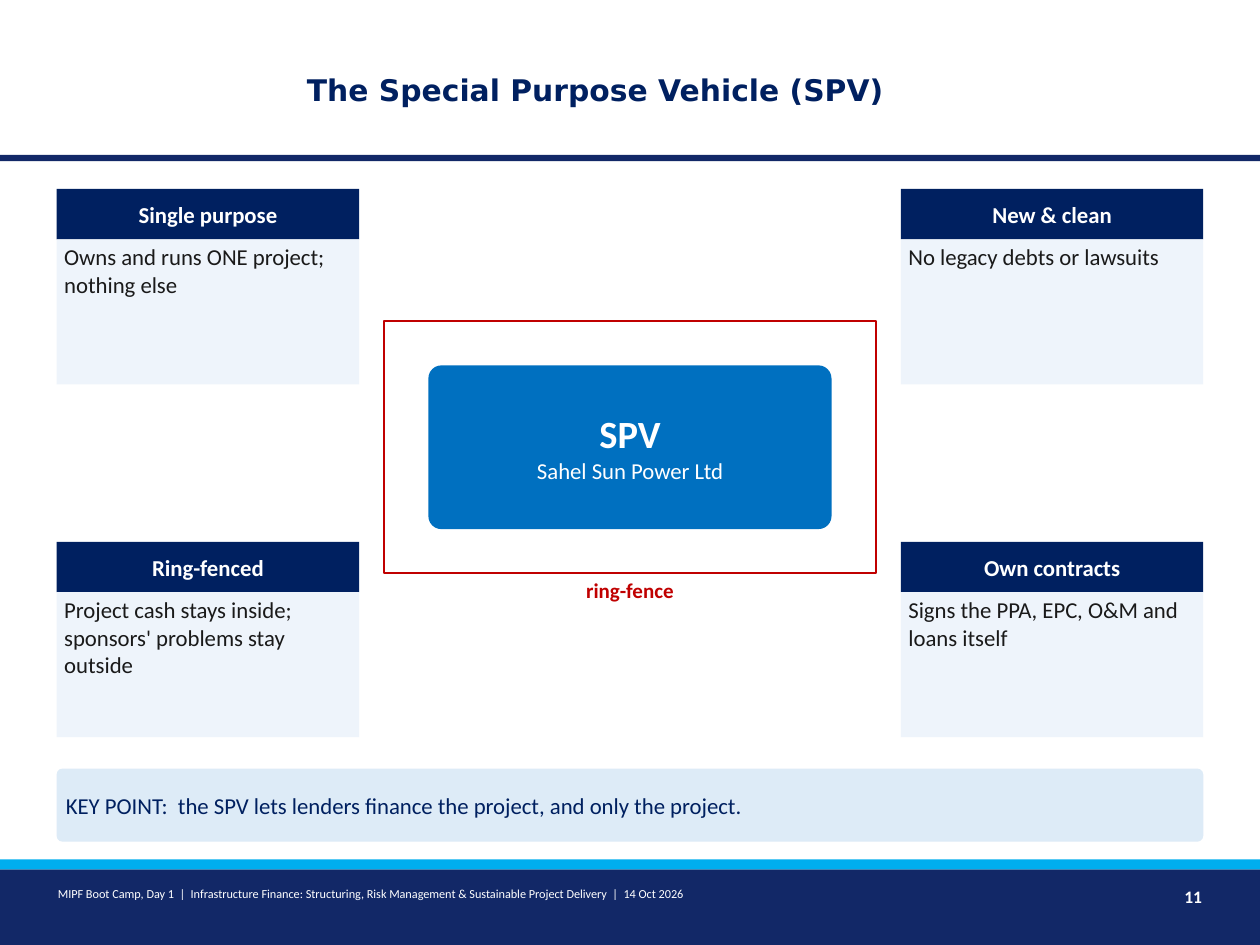
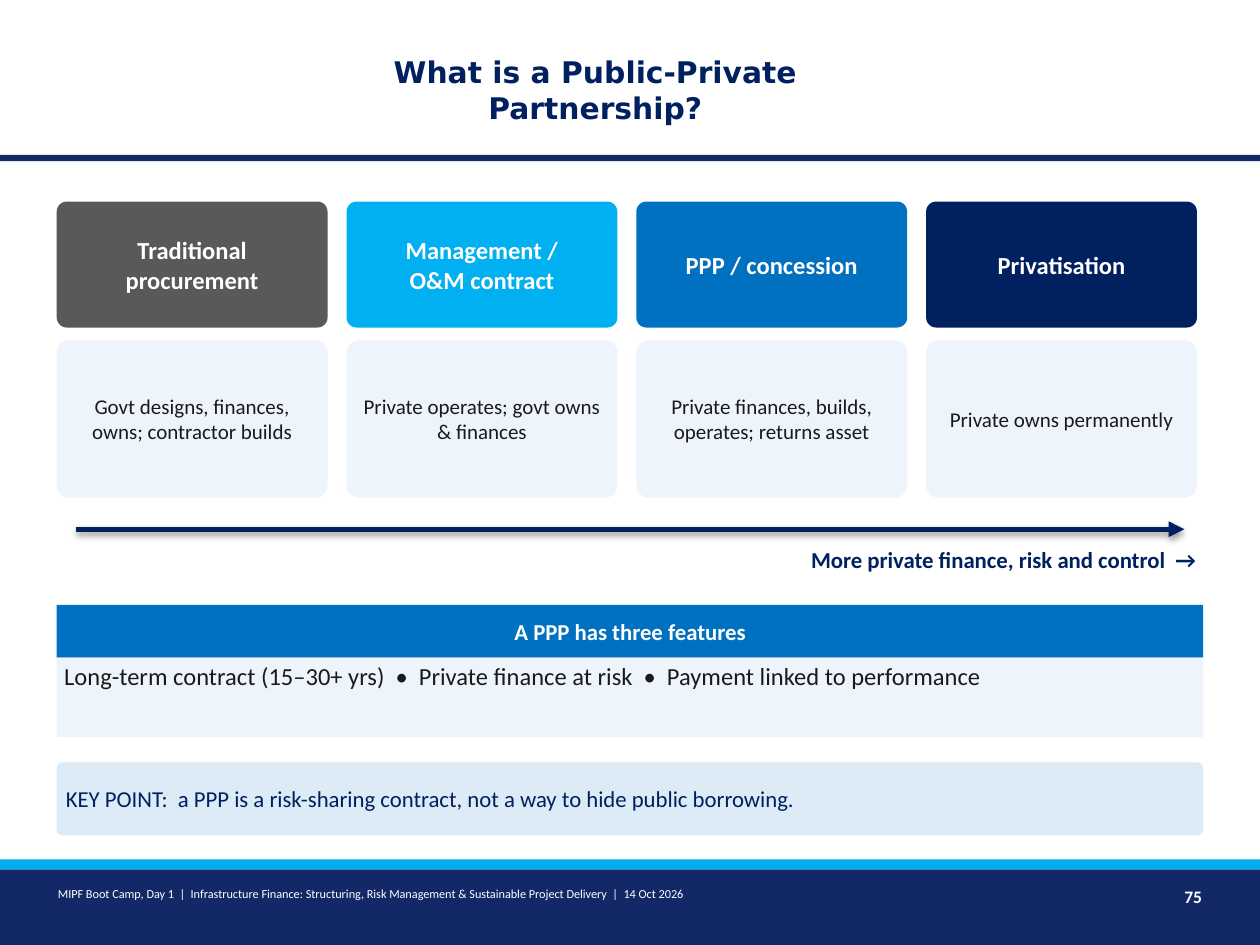
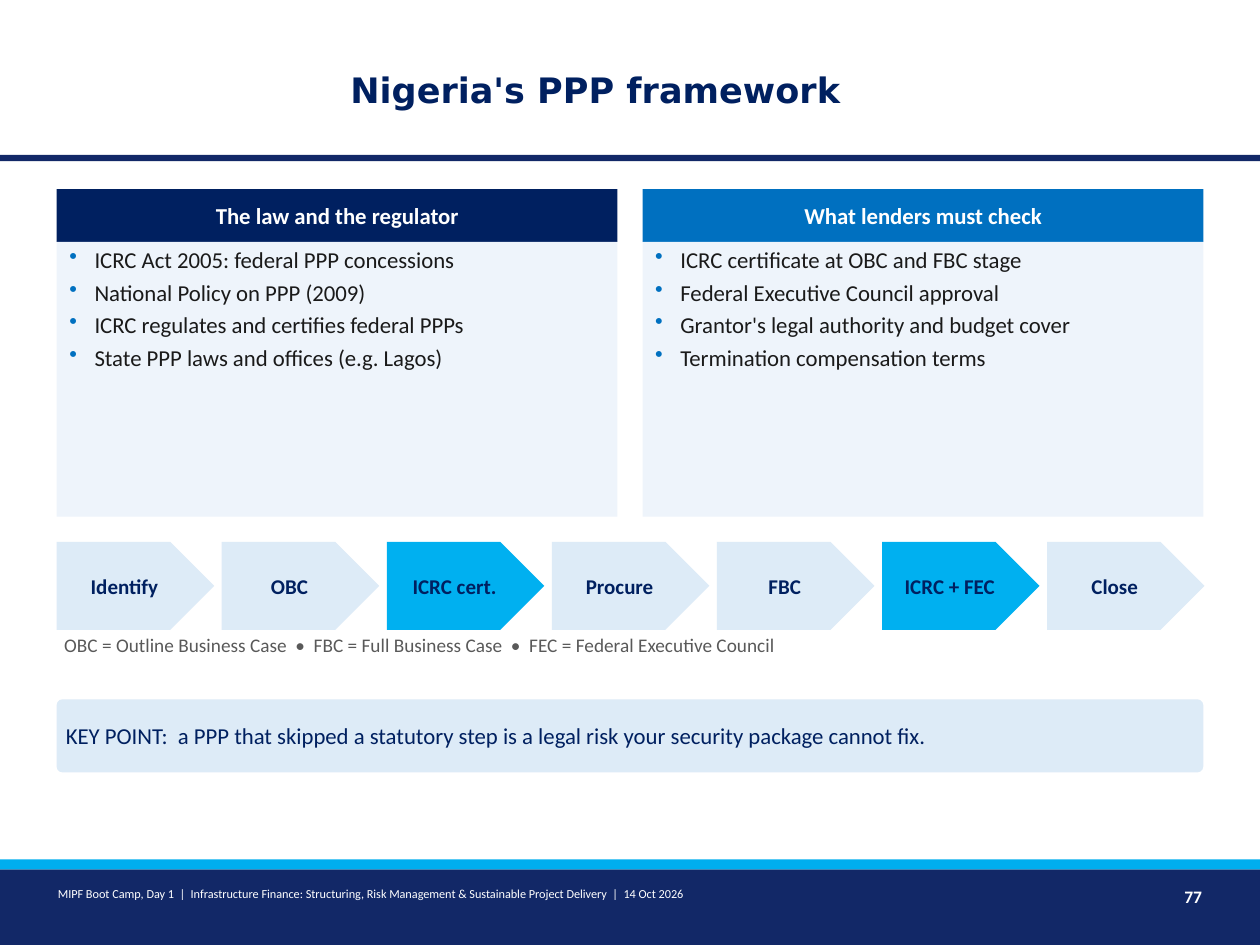
from lxml import etree
from pptx import Presentation
from pptx import util as u
from pptx.dml.color import RGBColor
from pptx.enum import shapes, text
from pptx.oxml.ns import qn

NAVY = RGBColor(0x00, 0x20, 0x60)
BAND = RGBColor(0x12, 0x28, 0x67)
CYAN = RGBColor(0x00, 0xAE, 0xEF)
SKY = RGBColor(0x00, 0xB0, 0xF0)
BLUE = RGBColor(0x00, 0x70, 0xC0)
PALE = RGBColor(0xEE, 0xF4, 0xFB)
ICE = RGBColor(0xDD, 0xEB, 0xF7)
GREY = RGBColor(0x59, 0x59, 0x59)
INK = RGBColor(0x1A, 0x1A, 0x1A)
RED = RGBColor(0xC0, 0x00, 0x00)
WHITE = RGBColor(0xFF, 0xFF, 0xFF)

FONT = "Calibri"
TITLE_FONT = "DejaVu Sans"
CELL = u.Inches(0.1)
COLS, ROWS = 100, 75
LEFT, WIDTH = 4.5, 91
FOOTER = ("MIPF Boot Camp, Day 1  |  Infrastructure Finance: Structuring, Risk Management"
          " & Sustainable Project Delivery  |  14 Oct 2026")

RECT = shapes.MSO_SHAPE.RECTANGLE
ROUND = shapes.MSO_SHAPE.ROUNDED_RECTANGLE
PENTAGON = shapes.MSO_SHAPE.PENTAGON
TOP, MIDDLE = text.MSO_ANCHOR.TOP, text.MSO_ANCHOR.MIDDLE
ALIGN = {"l": text.PP_ALIGN.LEFT, "c": text.PP_ALIGN.CENTER, "r": text.PP_ALIGN.RIGHT}


def grid(*cells):
    return [round(c * CELL) for c in cells]


def add_bullet(p, color):
    pPr = p._p.get_or_add_pPr()
    pPr.set("marL", str(u.Inches(0.24)))
    pPr.set("indent", str(u.Inches(-0.2)))
    clr = etree.SubElement(pPr, qn("a:buClr"))
    etree.SubElement(clr, qn("a:srgbClr")).set("val", str(color))
    etree.SubElement(pPr, qn("a:buChar")).set("char", "•")


def write(tf, lines, size=13, color=INK, bold=False, align="l", anchor=TOP,
          after=None, bullet=None, font=FONT, inset=True):
    tf.word_wrap = True
    tf.vertical_anchor = anchor
    if inset:
        tf.margin_left = tf.margin_right = u.Inches(0.06)
        tf.margin_top = tf.margin_bottom = u.Inches(0.03)
    for i, line in enumerate([lines] if isinstance(lines, str) else lines):
        p = tf.add_paragraph() if i else tf.paragraphs[0]
        if bullet is not None:
            add_bullet(p, bullet)
        p.alignment = ALIGN[align]
        if after is not None:
            p.space_after = u.Pt(after)
        r = p.add_run()
        r.text = line
        r.font.name, r.font.size, r.font.bold = font, u.Pt(size), bold
        r.font.color.rgb = color


class Deck:
    def __init__(self):
        self.prs = Presentation()
        self.prs.slide_width, self.prs.slide_height = grid(COLS, ROWS)
        self.layout = self.prs.slide_layouts.get_by_name("Title Only")
        for ph in list(self.layout.placeholders)[1:]:
            ph.element.getparent().remove(ph.element)
        self.s = None

    def add_bands(self):
        for y, h, color in ((12.3, 0.5, BAND), (69, 6, BAND), (68.2, 0.8, CYAN)):
            self.layout.shapes.element.append(self.box(0, y, COLS, h, color).element)

    def slide(self, title, number, size=17):
        first = self.s is None
        self.s = self.prs.slides.add_slide(self.layout)
        if first:
            self.add_bands()
        sp = self.s.shapes.title
        sp.left, sp.top, sp.width, sp.height = grid(23, 2.2, 48.5, 9.8)
        sp.text_frame.auto_size = text.MSO_AUTO_SIZE.NONE
        write(sp.text_frame, title, size=size, color=NAVY, bold=True, align="c",
              anchor=MIDDLE, font=TITLE_FONT, inset=False)
        self.label(FOOTER, 4, 70, 68, 3.5, size=7, color=WHITE)
        self.label(str(number), 90, 70, 6, 3.5, size=10, color=WHITE, bold=True, align="r")

    def box(self, x, y, w, h, fill=None, lines=None, kind=RECT, outline=None, **fmt):
        sp = self.s.shapes.add_shape(kind, *grid(x, y, w, h))
        sp.shadow.inherit = False
        if kind == ROUND:
            sp.adjustments[0] = 0.08
        if fill is None:
            sp.fill.background()
        else:
            sp.fill.solid()
            sp.fill.fore_color.rgb = fill
        if outline is None:
            sp.line.fill.background()
        else:
            sp.line.color.rgb = outline
            sp.line.width = u.Pt(1.25)
        if lines:
            write(sp.text_frame, lines, **{"anchor": MIDDLE, "align": "c", **fmt})
        return sp

    def label(self, lines, x, y, w, h, **fmt):
        tf = self.s.shapes.add_textbox(*grid(x, y, w, h)).text_frame
        write(tf, lines, **fmt)
        tf.auto_size = text.MSO_AUTO_SIZE.SHAPE_TO_FIT_TEXT

    def card(self, heading, body, x, y, w, h, head=4.2, color=NAVY, **fmt):
        self.box(x, y, w, head, color, heading, color=WHITE, bold=True)
        self.box(x, y + head, w, h - head, PALE, body,
                 anchor=TOP, align="l", after=3, **fmt)

    def arrow(self, x1, x2, y):
        c = self.s.shapes.add_connector(shapes.MSO_CONNECTOR.STRAIGHT, *grid(x1, y, x2, y))
        c.line.color.rgb = NAVY
        c.line.width = u.Pt(3)
        etree.SubElement(c.line._get_or_add_ln(), qn("a:tailEnd")).set("type", "triangle")

    def key_point(self, words, y):
        self.box(LEFT, y, WIDTH, 5.8, ICE, "KEY POINT:  " + words, ROUND,
                 color=NAVY, align="l")


def spv_slide(d):
    d.slide("The Special Purpose Vehicle (SPV)", 11)
    sp = d.box(34, 29, 32, 13, BLUE, ["SPV", "Sahel Sun Power Ltd"], ROUND, color=WHITE)
    name = sp.text_frame.paragraphs[0].runs[0].font
    name.size, name.bold = u.Pt(22), True
    d.box(30.5, 25.5, 39, 20, outline=RED)
    d.label("ring-fence", 30.5, 45.5, 39, 3.5, size=12, color=RED, bold=True,
            align="c", after=4)
    traits = (("Single purpose", "Owns and runs ONE project; nothing else"),
              ("New & clean", "No legacy debts or lawsuits"),
              ("Ring-fenced", "Project cash stays inside; sponsors' problems stay outside"),
              ("Own contracts", "Signs the PPA, EPC, O&M and loans itself"))
    for i, (heading, body) in enumerate(traits):
        row, col = divmod(i, 2)
        d.card(heading, body, LEFT + 67 * col, 15 + 28 * row, 24, 15.5, head=4)
    d.key_point("the SPV lets lenders finance the project, and only the project.", 61)


def ppp_slide(d):
    d.slide("What is a Public-Private Partnership?", 75)
    models = ((["Traditional", "procurement"], GREY,
               "Govt designs, finances, owns; contractor builds"),
              (["Management /", "O&M contract"], SKY,
               "Private operates; govt owns & finances"),
              ("PPP / concession", BLUE, "Private finances, builds, operates; returns asset"),
              ("Privatisation", NAVY, "Private owns permanently"))
    for i, (model, color, roles) in enumerate(models):
        x = LEFT + 23 * i
        d.box(x, 16, 21.5, 10, color, model, ROUND, size=14, color=WHITE, bold=True)
        d.box(x, 27, 21.5, 12.5, PALE, roles, ROUND, size=12)
    d.arrow(6, 94, 42)
    d.label("More private finance, risk and control  →", LEFT, 43, WIDTH, 4,
            color=NAVY, bold=True, align="r", after=4)
    d.card("A PPP has three features",
           "Long-term contract (15–30+ yrs)  •  Private finance at risk  •  "
           "Payment linked to performance",
           LEFT, 48, WIDTH, 10.5, color=BLUE, size=14)
    d.key_point("a PPP is a risk-sharing contract, not a way to hide public borrowing.", 60.5)


def nigeria_slide(d):
    d.slide("Nigeria's PPP framework", 77, size=20)
    panels = (("The law and the regulator", NAVY,
               ["ICRC Act 2005: federal PPP concessions",
                "National Policy on PPP (2009)",
                "ICRC regulates and certifies federal PPPs",
                "State PPP laws and offices (e.g. Lagos)"]),
              ("What lenders must check", BLUE,
               ["ICRC certificate at OBC and FBC stage",
                "Federal Executive Council approval",
                "Grantor's legal authority and budget cover",
                "Termination compensation terms"]))
    for i, (heading, color, points) in enumerate(panels):
        d.card(heading, points, LEFT + 46.5 * i, 15, 44.5, 26, color=color, bullet=BLUE)
    steps = ("Identify", "OBC", "ICRC cert.", "Procure", "FBC", "ICRC + FEC", "Close")
    for i, step in enumerate(steps):
        d.box(LEFT + 13.1 * i, 43, 12.5, 7, SKY if "ICRC" in step else ICE, step,
              PENTAGON, size=12, color=NAVY, bold=True)
    d.label("OBC = Outline Business Case  •  FBC = Full Business Case  •  "
            "FEC = Federal Executive Council", LEFT, 50, WIDTH, 4,
            size=11, color=GREY, after=4)
    d.key_point("a PPP that skipped a statutory step is a legal risk "
                "your security package cannot fix.", 55.5)


def main():
    d = Deck()
    spv_slide(d)
    ppp_slide(d)
    nigeria_slide(d)
    d.prs.save("out.pptx")


if __name__ == "__main__":
    main()
